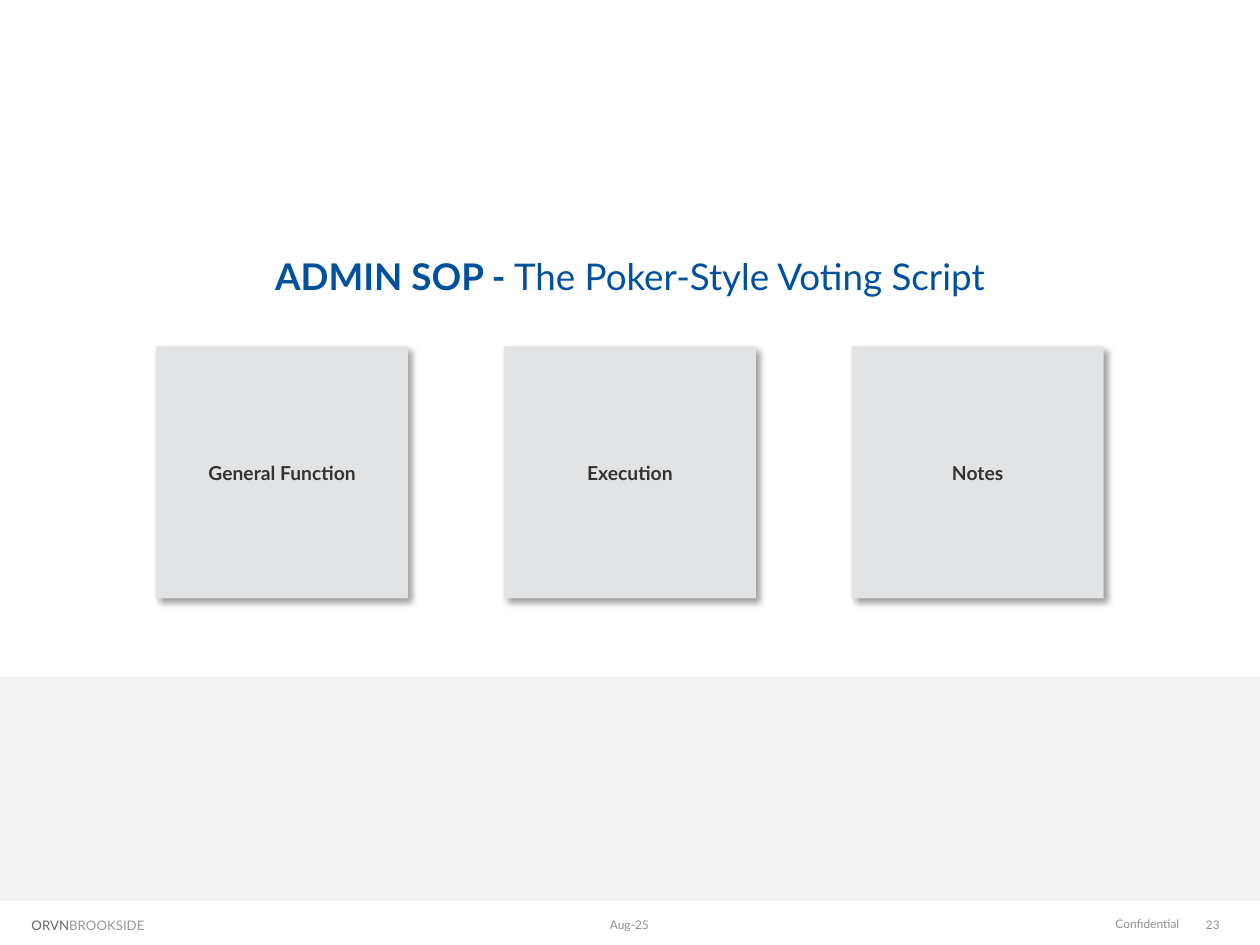
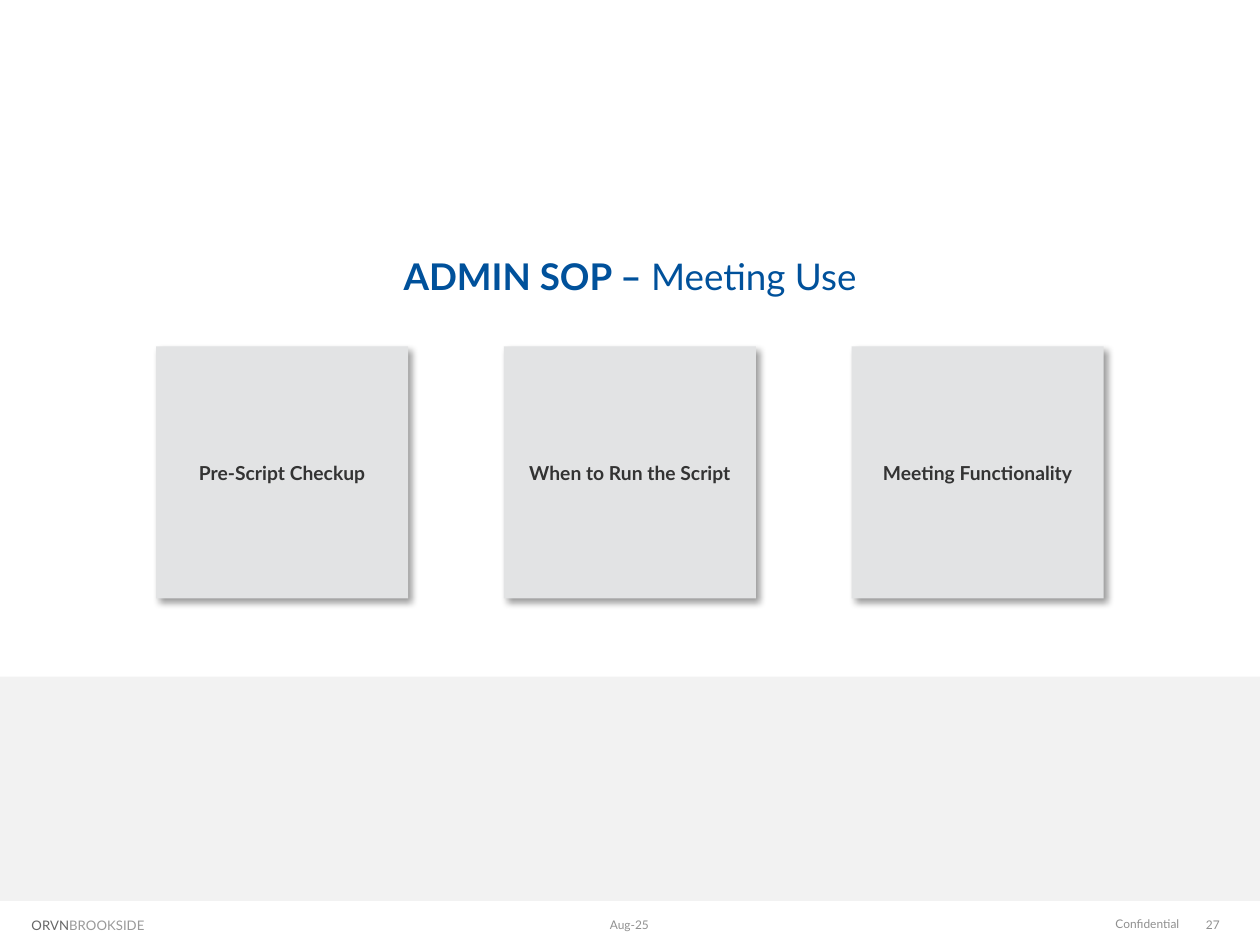
from lxml import etree
from pptx import Presentation
from pptx.dml.color import RGBColor
from pptx.enum.shapes import MSO_SHAPE
from pptx.enum.text import MSO_ANCHOR, PP_ALIGN
from pptx.oxml.ns import qn
from pptx.util import Inches, Pt

LEFT, MID, RIGHT = PP_ALIGN.LEFT, PP_ALIGN.CENTER, PP_ALIGN.RIGHT
RECT, CENTRE = MSO_SHAPE.RECTANGLE, MSO_ANCHOR.MIDDLE

SLIDES = [
    ("ADMIN SOP -", " The Poker-Style Voting Script", "23",
     ["General Function", "Execution", "Notes"]),
    ("ADMIN SOP –", " Meeting Use", "27",
     ["Pre-Script Checkup", "When to Run the Script", "Meeting Functionality"]),
]
BRAND = ("ORVN", "BROOKSIDE")
DATE, NOTICE = "Aug-25", "Confidential"

WIDTH, HEIGHT = 10, 7.5
FONT = "Lato"
BLUE, DARK, TILE, BAND = "00519B", "333333", "E2E3E4", "F2F2F2"
TITLE_BOX = (0, 1.69, WIDTH, 1)
BAND_BOX = (0, 5.37, WIDTH, 1.78)
SIDE, STEP, TOP = 2, 2.76, 2.75

HEAD = {"size": Pt(21), "bold": True}
LABEL = {"size": Pt(11), "bold": True}
LOGO = {"size": Pt(7.5)}
SMALL = {"size": Pt(6.8)}


def tint(code):
    return RGBColor.from_string(code)


def place(shape, box):
    for name, value in zip(("left", "top", "width", "height"), box):
        setattr(shape, name, Inches(value))


def write(shape, align, *runs, inset=None):
    """Fill one paragraph with runs of (text, colour, format)."""
    frame = shape.text_frame
    frame.word_wrap = True
    frame.vertical_anchor = CENTRE
    if inset is not None:
        for side in ("left", "top", "right", "bottom"):
            setattr(frame, "margin_" + side, Inches(inset))
    para = frame.paragraphs[0]
    para.alignment = align
    for text, code, form in runs:
        run = para.add_run()
        run.text = text
        run.font.name = FONT
        run.font.color.rgb = tint(code)
        for name, value in form.items():
            setattr(run.font, name, value)


def block(slide, box, code):
    shape = slide.shapes.add_shape(RECT, *map(Inches, box))
    shape.shadow.inherit = False
    shape.fill.solid()
    shape.fill.fore_color.rgb = tint(code)
    shape.line.fill.background()
    return shape


def shade(shape):
    """Cast a soft shadow to the lower right."""
    effects = shape.element.spPr.find(qn("a:effectLst"))
    outer = etree.SubElement(effects, qn("a:outerShdw"), blurRad=str(Pt(4)),
                             dist=str(Pt(3)), dir=str(45 * 60000),
                             algn="tl", rotWithShape="0")
    black = etree.SubElement(outer, qn("a:srgbClr"), val="000000")
    etree.SubElement(black, qn("a:alpha"), val="40000")


def footer(slide, number):
    first, last = BRAND
    parts = [
        ((0.25, 7.28, 1.3, 0.13), LEFT, 0,
         [(first, "666666", LOGO), (last, "999999", LOGO)]),
        ((8.06, 7.28, 1.3, 0.11), RIGHT, 0, [(NOTICE, "8F8F8F", SMALL)]),
        ((4.12, 7.14, 1.75, 0.4), MID, None, [(DATE, "909090", SMALL)]),
        ((9.28, 7.14, 0.5, 0.4), RIGHT, None, [(number, "909090", SMALL)]),
    ]
    for box, align, inset, runs in parts:
        text = slide.shapes.add_textbox(*map(Inches, box))
        write(text, align, *runs, inset=inset)


def build(deck, lead, topic, number, labels):
    slide = deck.slides.add_slide(deck.slide_layouts[0])
    title, spare = slide.placeholders
    spare.element.getparent().remove(spare.element)
    place(title, TITLE_BOX)
    write(title, MID, (lead, BLUE, HEAD),
          (topic, BLUE, {**HEAD, "bold": False}))
    block(slide, BAND_BOX, BAND)
    footer(slide, number)
    start = (WIDTH - SIDE - STEP * (len(labels) - 1)) / 2
    for col, label in enumerate(labels):
        tile = block(slide, (start + col * STEP, TOP, SIDE, SIDE), TILE)
        shade(tile)
        write(tile, MID, (label, DARK, LABEL))


def main():
    deck = Presentation()
    deck.slide_width, deck.slide_height = Inches(WIDTH), Inches(HEIGHT)
    for item in SLIDES:
        build(deck, *item)
    deck.save("out.pptx")


if __name__ == "__main__":
    main()
